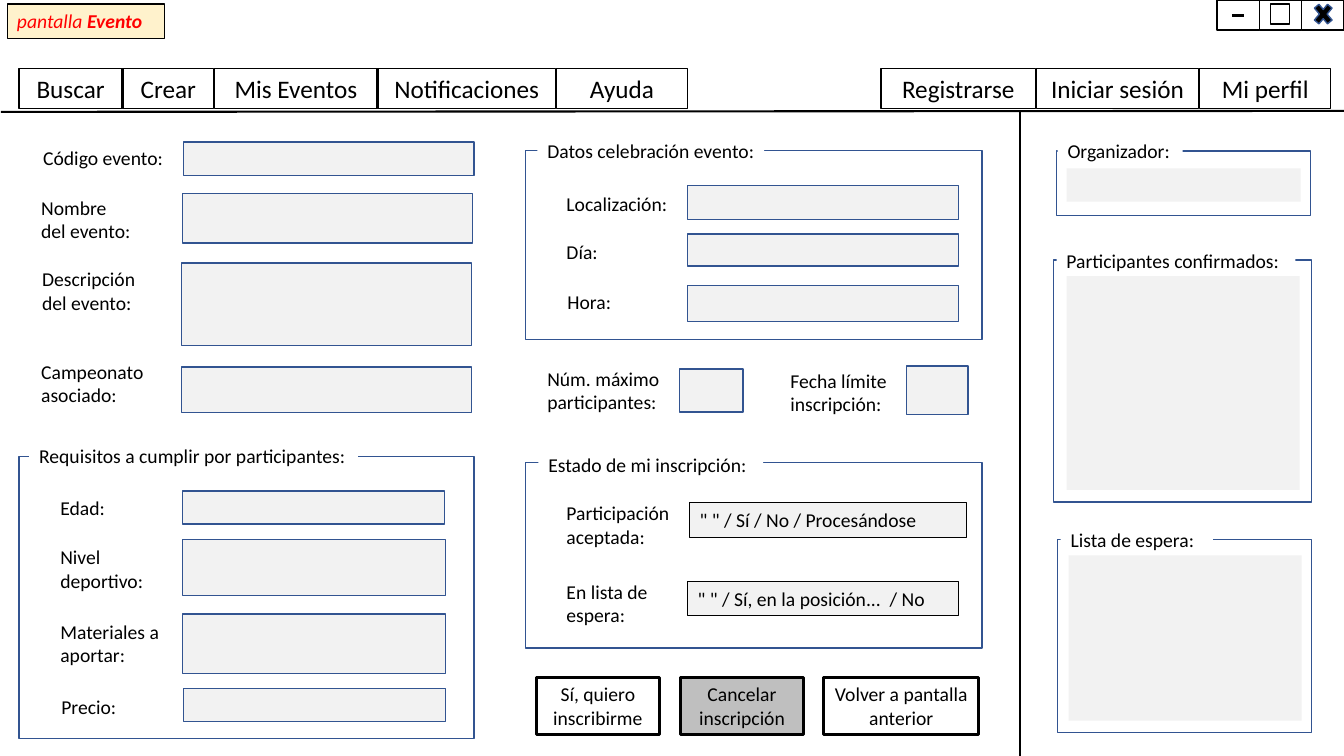
import pptx
import pptx.util
import pptx.dml.color
from pptx.enum.shapes import MSO_CONNECTOR, MSO_SHAPE
from pptx.enum.text import MSO_ANCHOR, PP_ALIGN
from pptx.oxml.ns import qn
from lxml import etree

RGB = pptx.dml.color.RGBColor
BLACK = RGB(0x00, 0x00, 0x00)
WHITE = RGB(0xFF, 0xFF, 0xFF)
BLUE = RGB(0x32, 0x54, 0x91)
LIGHT = RGB(0xF2, 0xF2, 0xF2)
GREY = RGB(0xBF, 0xBF, 0xBF)
CREAM = RGB(0xFF, 0xF2, 0xCC)
RED = RGB(0xFF, 0x00, 0x00)
FONT = "Calibri"

# Content: places are left, top, width, height in inches
TABS = [
    (0.19, [("Buscar", 1.02), ("Crear", 0.9), ("Mis Eventos", 1.61),
            ("Notificaciones", 1.76), ("Ayuda", 1.3)]),
    (8.74, [("Registrarse", 1.53), ("Iniciar sesión", 1.61), ("Mi perfil", 1.3)]),
]
TAB_TOP, TAB_HIGH, TAB_GAP = 0.68, 0.4, 0.01

# Group box, its caption, and the caption's place
GROUPS = [
    ((5.21, 1.49, 4.53, 1.88), "Datos celebración evento:", (5.33, 1.33, 2.25, 0.35)),
    ((0.19, 4.53, 4.51, 2.8), "Requisitos a cumplir por participantes:",
     (0.29, 4.36, 3.26, 0.34)),
    ((5.21, 4.59, 4.53, 1.84), "Estado de mi inscripción:", (5.34, 4.44, 2.23, 0.34)),
    ((10.48, 1.5, 2.52, 0.64), "Organizador:", (10.49, 1.33, 1.24, 0.35)),
    ((10.45, 2.58, 2.56, 2.4), "Participantes confirmados:", (10.48, 2.42, 2.37, 0.34)),
    ((10.49, 5.35, 2.52, 1.92), "Lista de espera:", (10.52, 5.19, 1.51, 0.34)),
]
LISTS = [(10.58, 1.67, 2.32, 0.33), (10.58, 2.74, 2.31, 2.12), (10.6, 5.51, 2.31, 1.64)]

# Label, its left, top and width, then the field's place
FIELDS = [
    ("Código evento:", (0.33, 1.4, 1.43), (1.82, 1.41, 2.88, 0.33)),
    ("Nombre\ndel evento:", (0.31, 1.89, 1.43), (1.81, 1.92, 2.88, 0.49)),
    ("Descripción\ndel evento:", (0.32, 2.6, 1.43), (1.8, 2.61, 2.88, 0.82)),
    ("Campeonato asociado:", (0.31, 3.52, 1.45), (1.8, 3.64, 2.88, 0.45)),
    ("Edad:", (0.5, 4.87, 1.21), (1.81, 4.87, 2.6, 0.33)),
    ("Nivel deportivo:", (0.5, 5.36, 1.22), (1.81, 5.35, 2.61, 0.56)),
    ("Materiales a aportar:", (0.5, 6.1, 1.21), (1.81, 6.09, 2.61, 0.59)),
    ("Precio:", (0.51, 6.84, 1.21), (1.82, 6.83, 2.6, 0.33)),
    ("Localización:", (5.52, 1.85, 1.21), (6.82, 1.84, 2.69, 0.34)),
    ("Día:", (5.52, 2.33, 1.21), (6.82, 2.32, 2.69, 0.32)),
    ("Hora:", (5.53, 2.83, 1.21), (6.82, 2.83, 2.69, 0.36)),
    ("Núm. máximo participantes:", (5.33, 3.59, 1.38), (6.74, 3.66, 0.63, 0.43)),
    ("Fecha límite inscripción:", (7.74, 3.61, 1.22), (8.99, 3.63, 0.61, 0.48)),
]
STATES = [
    ("Participación aceptada:", (5.52, 4.92, 1.23),
     '" " / Sí / No / Procesándose', (6.84, 4.99, 2.75, 0.34)),
    ("En lista de espera:", (5.52, 5.7, 1.15),
     '" " / Sí, en la posición...  / No', (6.82, 5.77, 2.69, 0.34)),
]
BUTTONS = [
    ("Sí, quiero inscribirme", 5.32, 1.22, WHITE),
    ("Cancelar inscripción", 6.75, 1.22, GREY),
    ("Volver a pantalla anterior", 8.17, 1.54, None),
]
TITLE = [("pantalla", False), (" Evento", True)]

deck = pptx.Presentation()
deck.slide_width = pptx.util.Cm(33.86)
deck.slide_height = pptx.util.Cm(19.05)
page = deck.slides.add_slide(deck.slide_layouts[6])


def cm(inch):
    return pptx.util.Cm(inch * 2.54)


def write(shape, text, size=14, align=PP_ALIGN.LEFT):
    frame = shape.text_frame
    frame.word_wrap = True
    frame.vertical_anchor = MSO_ANCHOR.TOP
    frame.text = text
    for para in frame.paragraphs:
        para.alignment = align
        para.font.size = pptx.util.Pt(size)
        para.font.name = FONT
        para.font.color.rgb = BLACK


def box(place, fill=None, line=None, width=1, kind=MSO_SHAPE.RECTANGLE):
    shape = page.shapes.add_shape(kind, *map(cm, place))
    shape.shadow.inherit = False
    if fill is None:
        shape.fill.background()
    else:
        shape.fill.solid()
        shape.fill.fore_color.rgb = fill
    if line is None:
        shape.line.fill.background()
    else:
        shape.line.color.rgb = line
        shape.line.width = pptx.util.Pt(width)
    return shape


def label(text, left, top, wide):
    high = 0.34 if len(text) < 15 else 0.57
    write(page.shapes.add_textbox(*map(cm, (left, top, wide, high))), text)


def rule(ends, width):
    line = page.shapes.add_connector(MSO_CONNECTOR.STRAIGHT, *map(cm, ends))
    line.line.color.rgb = BLACK
    line.line.width = pptx.util.Pt(width)
    etree.SubElement(line._element.spPr, qn("a:effectLst"))


# Group boxes and captions, each caption on one line
for place, text, spot in GROUPS:
    box(place, line=BLUE)
    caption = box(spot, WHITE)
    write(caption, text)
    caption.text_frame.margin_right = 0
for place in LISTS:
    box(place, LIGHT)

# Dividing lines
rule((0.01, 1.11, 13.34, 1.1), 1.5)
rule((10.12, 1.1, 10.12, 7.5), 1.5)

# Menu tabs
for left, tabs in TABS:
    for text, wide in tabs:
        tab = box((left, TAB_TOP, wide, TAB_HIGH), WHITE, BLACK)
        write(tab, text, 18, PP_ALIGN.CENTER)
        left += wide + TAB_GAP

# Form fields
for text, spot, place in FIELDS:
    label(text, *spot)
    box(place, LIGHT, BLUE)
for text, spot, value, place in STATES:
    label(text, *spot)
    write(box(place, LIGHT, BLACK, 0.75), value)

# Buttons
for text, left, wide, fill in BUTTONS:
    button = box((left, 6.72, wide, 0.57), fill, BLACK, 2.25)
    write(button, text, 14, PP_ALIGN.CENTER)

# Window controls
for step in range(3):
    box((12.07 + step * 0.42, 0, 0.42, 0.3), WHITE, BLACK)
rule((12.22, 0.15, 12.34, 0.15), 2.25)
box((12.6, 0.04, 0.19, 0.2), line=BLACK)
box((13, -0.01, 0.25, 0.3), BLACK, BLUE, kind=MSO_SHAPE.MATH_MULTIPLY)

# Screen title
title = box((0.07, 0.04, 1.56, 0.34), CREAM, BLACK, 0.75)
write(title, "")
para = title.text_frame.paragraphs[0]
para.font.color.rgb = RED
para.font.italic = True
for text, bold in TITLE:
    run = para.add_run()
    run.text = text
    run.font.bold = bold

deck.save("out.pptx")
